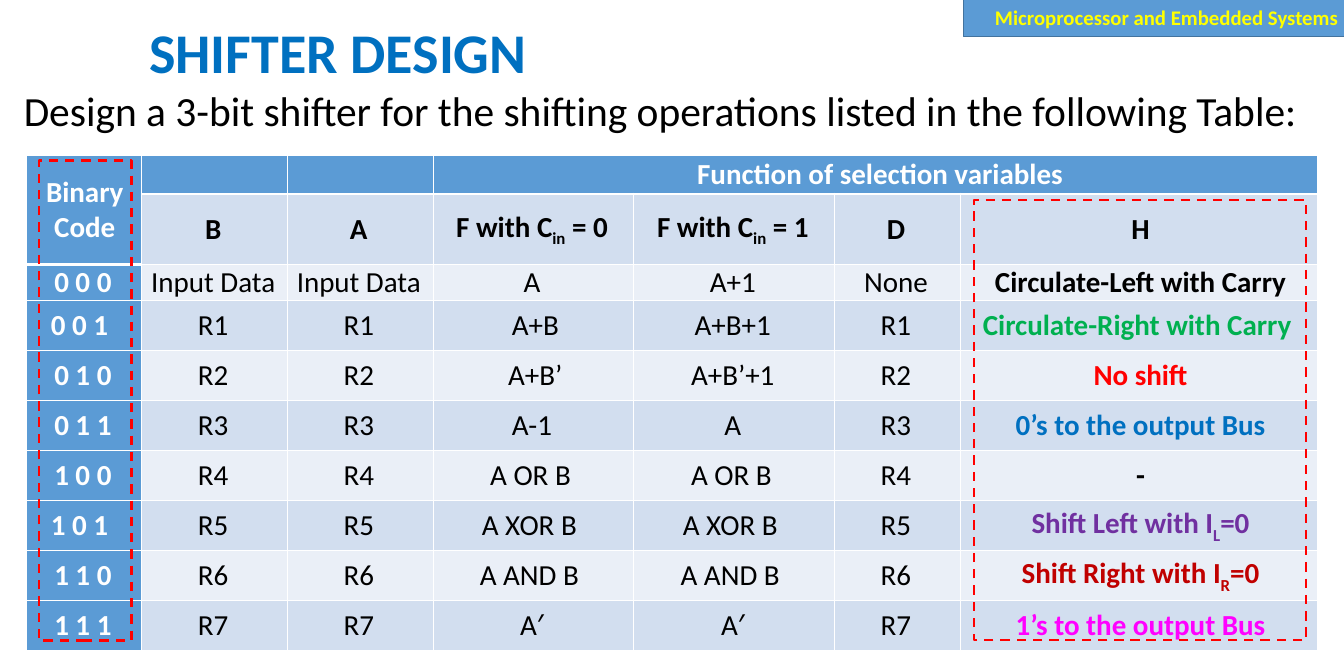
from lxml import etree
from pptx import Presentation
from pptx.dml.color import RGBColor
from pptx.enum.dml import MSO_LINE
from pptx.enum.shapes import MSO_SHAPE
from pptx.enum.text import MSO_ANCHOR, PP_ALIGN
from pptx.oxml.ns import qn
from pptx.util import Inches, Pt

RECT = MSO_SHAPE.RECTANGLE
DASH = MSO_LINE.DASH
MIDDLE = MSO_ANCHOR.MIDDLE
LEFT, CENTER, RIGHT = PP_ALIGN.LEFT, PP_ALIGN.CENTER, PP_ALIGN.RIGHT

WHITE = RGBColor(0xFF, 0xFF, 0xFF)
BLACK = RGBColor(0, 0, 0)
HEAD = RGBColor(0x5B, 0x9B, 0xD5)
EDGE = RGBColor(0x43, 0x73, 0x9E)
BAND = RGBColor(0xD2, 0xDE, 0xEF)
PALE = RGBColor(0xEA, 0xEF, 0xF7)
YELLOW = RGBColor(0xFF, 0xFF, 0)
BLUE = RGBColor(0, 0x70, 0xC0)
GREEN = RGBColor(0, 0xB0, 0x50)
RED = RGBColor(0xFF, 0, 0)
PURPLE = RGBColor(0x70, 0x30, 0xA0)
CRIMSON = RGBColor(0xC0, 0, 0)
PINK = RGBColor(0xFF, 0, 0xFF)


def write(frame, text, size, color, bold, align):
    """Write one paragraph; parts between underscores are subscripts."""
    frame.word_wrap = True
    para = frame.paragraphs[0]
    para.alignment = align
    for i, part in enumerate(text.split("_")):
        run = para.add_run()
        run.text = part
        font = run.font
        font.name, font.size, font.bold = "Calibri", Pt(size), bold
        font.color.rgb = color
        if i % 2:
            run._r.get_or_add_rPr().set("baseline", "-25000")


def border(cell, side, width):
    line = etree.SubElement(cell._tc.get_or_add_tcPr(), qn("a:ln" + side), w=str(Pt(width)))
    fill = etree.SubElement(line, qn("a:solidFill"))
    etree.SubElement(fill, qn("a:srgbClr"), val=str(WHITE))


deck = Presentation()
deck.slide_width, deck.slide_height = Inches(18), Inches(9)
slide = deck.slides.add_slide(deck.slide_layouts[6])
shapes = slide.shapes

# Course banner
banner = shapes.add_shape(RECT, Inches(12.9), Inches(-0.02), Inches(5.12), Inches(0.51))
banner.shadow.inherit = False
banner.fill.solid()
banner.fill.fore_color.rgb = HEAD
banner.line.color.rgb = EDGE
banner.line.width = Pt(1)
banner.text_frame.vertical_anchor = MIDDLE
write(banner.text_frame, "Microprocessor and Embedded Systems", 20, YELLOW, True, RIGHT)

# Title and task
title = shapes.add_textbox(Inches(1.9), Inches(0.15), Inches(10.9), Inches(1.17))
title.text_frame.vertical_anchor = MIDDLE
write(title.text_frame, "SHIFTER DESIGN", 54, BLUE, True, LEFT)
title.text_frame.paragraphs[0].line_spacing = 0.9
task = shapes.add_textbox(Inches(0.22), Inches(1.09), Inches(17.61), Inches(0.77))
write(task.text_frame,
      "Design a 3-bit shifter for the shifting operations listed in the following Table:",
      40, BLACK, False, LEFT)

# Table content: F without carry, F with carry, H and its colour for each code
codes = [
    ("A", "A+1", "Circulate-Left with Carry", BLACK),
    ("A+B", "A+B+1", "Circulate-Right with Carry", GREEN),
    ("A+B’", "A+B’+1", "No shift", RED),
    ("A-1", "A", "0’s to the output Bus", BLUE),
    ("A OR B", "A OR B", "-", BLACK),
    ("A XOR B", "A XOR B", "Shift Left with I_L_=0", PURPLE),
    ("A AND B", "A AND B", "Shift Right with I_R_=0", CRIMSON),
    ("A′", "A′", "1’s to the output Bus", PINK),
]
rows = [
    ["Binary Code", "", "", "Function of selection variables", "", "", ""],
    ["", "B", "A", "F with C_in_ = 0", "F with C_in_ = 1", "D", "H"],
]
tints = [BLACK, BLACK]
for n, (plain, carry, shift, tint) in enumerate(codes):
    bits = " ".join(f"{n:03b}")
    source = f"R{n}" if n else "Input Data"
    rows.append([bits, source, source, plain, carry, f"R{n}" if n else "None", shift])
    tints.append(tint)

# Table grid
widths = [1.54, 1.95, 1.95, 2.69, 2.69, 1.68, 4.78]
heights = [0.52, 0.94, 0.48] + [0.67] * 7
table = shapes.add_table(len(rows), len(widths), Inches(0.36), Inches(2.08),
                         Inches(sum(widths)), Inches(sum(heights))).table
table.first_row = table.horz_banding = False
for column, width in zip(table.columns, widths):
    column.width = Inches(width)
for row, height in zip(table.rows, heights):
    row.height = Inches(height)
table.cell(0, 0).merge(table.cell(1, 0))
table.cell(0, 3).merge(table.cell(0, 6))

# Right insets that set single entries off centre
insets = {"0 0 1": 0.22, "1 0 1": 0.22, "A+B": 0.04, "A+B’": 0.04,
          "A OR B": 0.17, "A XOR B": 0.2, "A AND B": 0.2,
          "Binary Code": 0.08, "Circulate-Right with Carry": 0.13}

# Table cells
for r, texts in enumerate(rows):
    for c, text in enumerate(texts):
        cell = table.cell(r, c)
        head = r == 0 or c == 0
        thick_top = r == 1 and c > 0 or r == 2 and c == 0
        thick_base = r == 0 or r == 1 and c == 0
        for side, width in (("L", 1), ("R", 1), ("T", 3 if thick_top else 1),
                            ("B", 3 if thick_base else 1)):
            border(cell, side, width)
        cell.fill.solid()
        cell.fill.fore_color.rgb = HEAD if head else BAND if r % 2 else PALE
        cell.vertical_anchor = MIDDLE
        cell.margin_left = Inches(0.26 if r == 0 and c == 3 else 0.09)
        cell.margin_right = Inches(insets.get(text, 0.04 if c == 6 else 0.13))
        cell.margin_top, cell.margin_bottom = Inches(0.01), 0
        if text:
            color = WHITE if head else tints[r] if c == 6 else BLACK
            write(cell.text_frame, text, 28, color, head or r == 1 or c == 6, CENTER)

# Dashed frames around the code and H columns
for left, top, width, height in ((0.52, 2.15, 1.24, 6.43), (13.04, 2.68, 4.45, 5.89)):
    frame = shapes.add_shape(RECT, Inches(left), Inches(top), Inches(width), Inches(height))
    frame.shadow.inherit = False
    frame.fill.background()
    frame.line.color.rgb = RED
    frame.line.width = Pt(2.25)
    frame.line.dash_style = DASH

deck.save("out.pptx")
